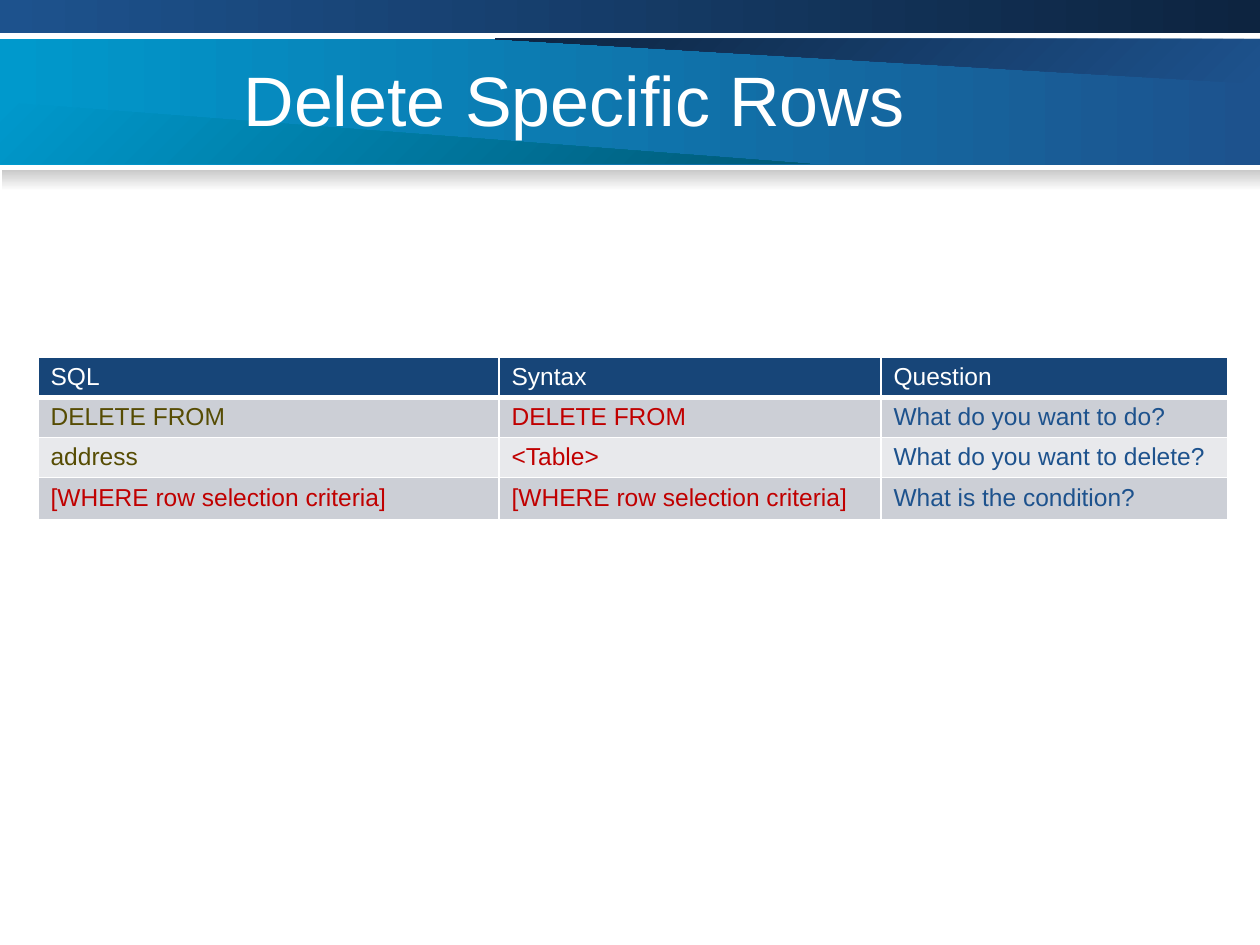
from dataclasses import dataclass

from lxml import etree
from pptx import Presentation
from pptx.dml.color import RGBColor
from pptx.enum.shapes import MSO_SHAPE
from pptx.enum.text import MSO_ANCHOR, PP_ALIGN
from pptx.oxml.ns import qn
from pptx.util import Emu, Pt

RECTANGLE = MSO_SHAPE.RECTANGLE
MIDDLE = MSO_ANCHOR.MIDDLE
LEFT = PP_ALIGN.LEFT
EMU_PER_PX = 914400 / 126
TITLE_ONLY = 5


@dataclass(frozen=True)
class Theme:
    font: str = "Arial"
    title_size: int = 40
    table_size: int = 14
    white: str = "FFFFFF"
    sky: str = "0099CC"
    teal: str = "005A78"
    blue: str = "1D528D"
    navy: str = "0D2440"
    shadow: str = "CACACA"
    header: str = "174578"
    band_dark: str = "CCCFD6"
    band_light: str = "E8E9EC"
    olive: str = "564C03"
    red: str = "C00000"


THEME = Theme()


@dataclass(frozen=True)
class Gradient:
    start: str
    end: str
    angle: int  # counter-clockwise degrees


@dataclass(frozen=True)
class Bar:
    left: int
    top: int
    width: int
    height: int
    gradient: Gradient


@dataclass(frozen=True)
class Wedge:
    points: tuple[tuple[int, int], ...]
    gradient: Gradient


@dataclass(frozen=True)
class Row:
    texts: tuple[str, str, str]
    colors: tuple[str, str, str]
    fill: str
    height: int = 40
    bottom_border: int = 1


BANNER = (
    Bar(0, 39, 1261, 126, Gradient(THEME.sky, THEME.blue, 0)),
    Wedge(((495, 39), (1261, 84), (1261, 39)), Gradient(THEME.blue, THEME.navy, 135)),
    Wedge(((0, 102), (810, 164), (0, 164)), Gradient(THEME.sky, THEME.teal, 315)),
    Bar(0, 0, 1260, 33, Gradient(THEME.blue, THEME.navy, 0)),
    Bar(2, 170, 1258, 21, Gradient(THEME.shadow, THEME.white, 270)),
)

COLUMN_WIDTHS = (461, 382, 347)
BODY_COLORS = (THEME.olive, THEME.red, THEME.blue)
ROWS = (
    Row(("SQL", "Syntax", "Question"), (THEME.white,) * 3, THEME.header,
        bottom_border=3),
    Row(("DELETE FROM", "DELETE FROM", "What do you want to do?"),
        BODY_COLORS, THEME.band_dark),
    Row(("address", "<Table>", "What do you want to delete?"),
        BODY_COLORS, THEME.band_light),
    Row(("[WHERE row selection criteria]", "[WHERE row selection criteria]",
         "What is the condition?"),
        (THEME.red, THEME.red, THEME.blue), THEME.band_dark, height=42),
)


def px(length: int) -> Emu:
    return Emu(round(length * EMU_PER_PX))


def rgb(color: str) -> RGBColor:
    return RGBColor.from_string(color)


def style_paragraph(paragraph, size: int, color: str) -> None:
    paragraph.alignment = LEFT
    paragraph.font.name = THEME.font
    paragraph.font.size = Pt(size)
    paragraph.font.bold = False
    paragraph.font.color.rgb = rgb(color)


def paint(shape, gradient: Gradient) -> None:
    """Give the shape a gradient fill without outline or shadow."""
    shape.shadow.inherit = False
    shape.line.fill.background()
    shape.fill.gradient()
    shape.fill.gradient_angle = gradient.angle
    stops = shape.fill.gradient_stops
    for stop, color, position in zip(stops, (gradient.start, gradient.end), (0, 1)):
        stop.color.rgb = rgb(color)
        stop.position = position


def add_bar(slide, bar: Bar) -> None:
    shape = slide.shapes.add_shape(
        RECTANGLE, px(bar.left), px(bar.top), px(bar.width), px(bar.height))
    paint(shape, bar.gradient)


def add_wedge(slide, wedge: Wedge) -> None:
    first, *others = wedge.points
    builder = slide.shapes.build_freeform(*first, scale=EMU_PER_PX)
    builder.add_line_segments(others, close=True)
    paint(builder.convert_to_shape(), wedge.gradient)


def add_banner(slide) -> None:
    for part in BANNER:
        if isinstance(part, Bar):
            add_bar(slide, part)
        else:
            add_wedge(slide, part)


def place_title(slide, text: str) -> None:
    """Fill the title placeholder and bring it in front of the banner."""
    title = slide.shapes.title
    title.left, title.top, title.width, title.height = map(px, (231, 38, 914, 120))
    title.text_frame.text = text
    title.text_frame.vertical_anchor = MIDDLE
    style_paragraph(title.text_frame.paragraphs[0], THEME.title_size, THEME.white)
    slide.shapes._spTree.append(title._element)


def set_borders(cell, bottom: int) -> None:
    properties = cell._tc.get_or_add_tcPr()
    widths = {"a:lnL": 1, "a:lnR": 1, "a:lnT": 1, "a:lnB": bottom}
    for index, (tag, width) in enumerate(widths.items()):
        line = etree.Element(qn(tag), w=str(Pt(width)))
        fill = etree.SubElement(line, qn("a:solidFill"))
        etree.SubElement(fill, qn("a:srgbClr"), val=THEME.white)
        properties.insert(index, line)


def add_sql_table(slide) -> None:
    frame = slide.shapes.add_table(
        len(ROWS), len(COLUMN_WIDTHS), px(38), px(357),
        px(sum(COLUMN_WIDTHS)), px(sum(row.height for row in ROWS)))
    table = frame.table
    table.first_row = False
    table.horz_banding = False
    for column, width in zip(table.columns, COLUMN_WIDTHS):
        column.width = px(width)
    for table_row, row in zip(table.rows, ROWS):
        table_row.height = px(row.height)
        for cell, text, color in zip(table_row.cells, row.texts, row.colors):
            cell.text = text
            cell.fill.solid()
            cell.fill.fore_color.rgb = rgb(row.fill)
            set_borders(cell, row.bottom_border)
            style_paragraph(cell.text_frame.paragraphs[0], THEME.table_size, color)


def main() -> None:
    presentation = Presentation()
    presentation.slide_width = px(1260)
    presentation.slide_height = px(945)
    slide = presentation.slides.add_slide(presentation.slide_layouts[TITLE_ONLY])
    add_banner(slide)
    place_title(slide, "Delete Specific Rows")
    add_sql_table(slide)
    presentation.save("out.pptx")


if __name__ == "__main__":
    main()
